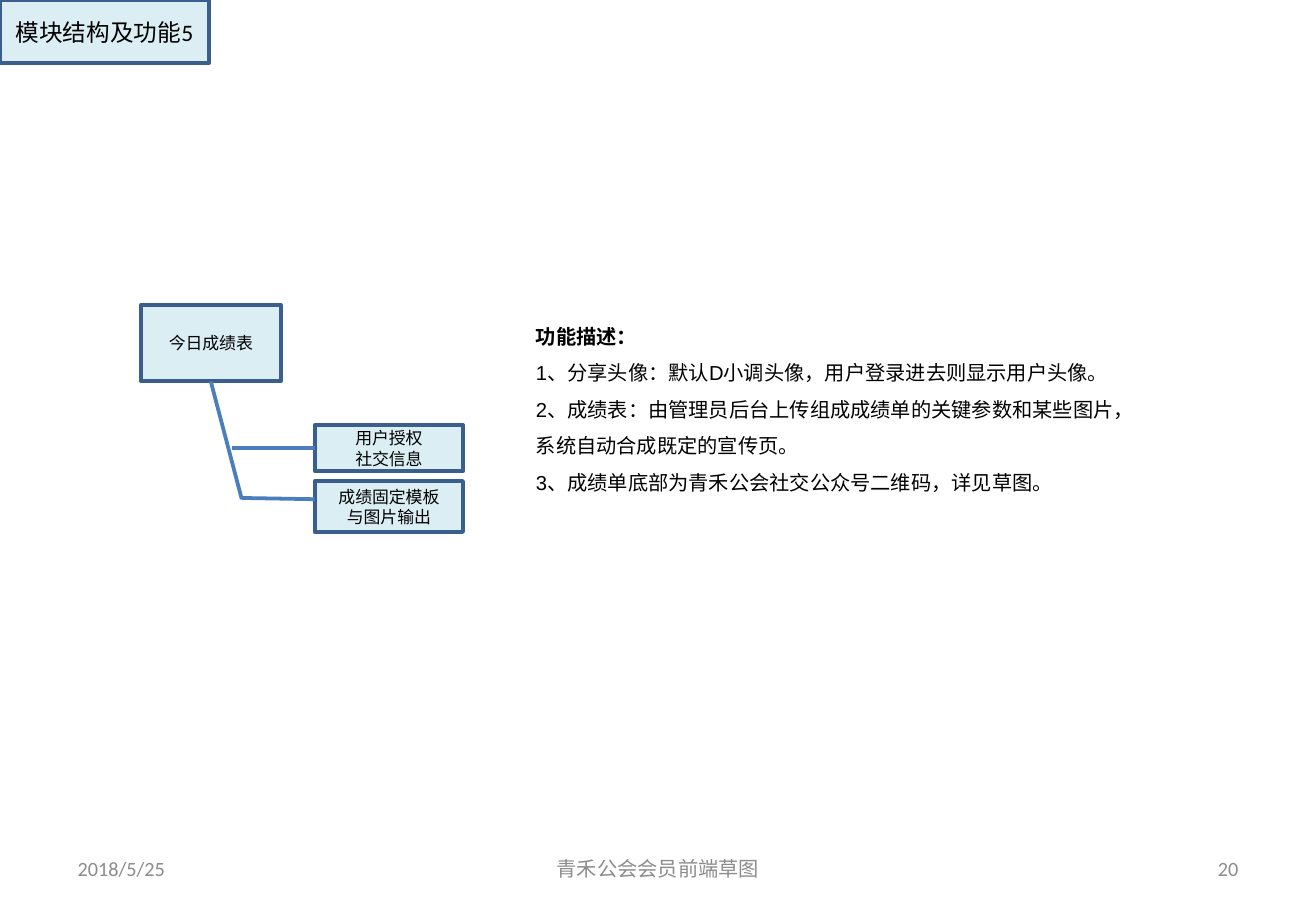
"""Build the slide on the structure and functions of module 5."""
import pptx
import pptx.dml.color
import pptx.enum.shapes
import pptx.enum.text
import pptx.oxml.xmlchemy
import pptx.util
from lxml import etree

RGB = pptx.dml.color.RGBColor
FILL = RGB(0xDB, 0xEE, 0xF4)
BORDER = RGB(0x3A, 0x5F, 0x8C)
BRANCH = RGB(0x4B, 0x7E, 0xBC)
BLACK = RGB(0, 0, 0)
GRAY = RGB(0x8C, 0x8C, 0x8C)
DRAWING = "{http://schemas.openxmlformats.org/drawingml/2006/main}"
ALIGN = pptx.enum.text.PP_ALIGN
ANCHOR = pptx.enum.text.MSO_ANCHOR
Inches = pptx.util.Inches
Pt = pptx.util.Pt


def place(sp, left, top, width, height):
    sp.left, sp.top = Inches(left), Inches(top)
    sp.width, sp.height = Inches(width), Inches(height)


def write(sp, text, size, color, align, font="Calibri", anchor=ANCHOR.MIDDLE):
    tf = sp.text_frame
    tf.text = text
    tf.word_wrap = True
    tf.auto_size = pptx.enum.text.MSO_AUTO_SIZE.NONE
    tf.vertical_anchor = anchor
    for p in tf.paragraphs:
        p.alignment = align
        for r in p.runs:
            r.font.size = Pt(size)
            r.font.name = font
            r.font.color.rgb = color


prs = pptx.Presentation()
prs.slide_width, prs.slide_height = Inches(10.83), Inches(7.5)
s = prs.slides.add_slide(prs.slide_layouts[1])

title, body = s.shapes.title, s.placeholders[1]
place(title, 0, 0, 1.72, 0.52)
write(title, "模块结构及功能5", 14, BLACK, ALIGN.CENTER)
title.text_frame.margin_left = title.text_frame.margin_right = Inches(0.05)

place(body, 4.31, 2.52, 5.04, 1.62)
write(body, "功能描述：\n"
      "1、分享头像：默认D小调头像，用户登录进去则显示用户头像。\n"
      "2、成绩表：由管理员后台上传组成成绩单的关键参数和某些图片，系统自动合成既定的宣传页。\n"
      "3、成绩单底部为青禾公会社交公众号二维码，详见草图。",
      12, BLACK, ALIGN.LEFT, "Arial", ANCHOR.TOP)
for p in body.text_frame.paragraphs:
    p.line_spacing = 1.5
    p.space_before = Pt(0)
    pPr = p._p.get_or_add_pPr()
    pPr.set("marL", "0")
    pPr.set("indent", "0")
    etree.SubElement(pPr, DRAWING + "buNone")
body.text_frame.paragraphs[0].runs[0].font.bold = True

boxes = []
for text, *box in [("今日成绩表", 1.16, 2.51, 1.15, 0.63),
                   ("用户授权\n社交信息", 2.59, 3.5, 1.22, 0.38),
                   ("成绩固定模板\n与图片输出", 2.59, 3.96, 1.22, 0.42)]:
    sp = s.shapes.add_shape(pptx.enum.shapes.MSO_SHAPE.RECTANGLE, *map(Inches, box))
    sp.shadow.inherit = False
    write(sp, text, 10, BLACK, ALIGN.CENTER)
    boxes.append(sp)
report, login, template = boxes

for sp in (title, *boxes):
    sp.fill.solid()
    sp.fill.fore_color.rgb = FILL
    sp.line.color.rgb = BORDER
    sp.line.width = Pt(2.25)

lines = []
for ends in [(1.74, 3.14, 1.99, 4.11), (1.91, 3.69, 2.59, 3.69), (1.99, 4.1, 2.59, 4.11)]:
    line = s.shapes.add_connector(pptx.enum.shapes.MSO_CONNECTOR.STRAIGHT, *map(Inches, ends))
    line.line.color.rgb = BRANCH
    line.line.width = Pt(2.25)
    etree.SubElement(line._element.spPr, DRAWING + "effectLst")
    lines.append(line)
lines[0].begin_connect(report, 2)
lines[1].end_connect(login, 1)

for text, left, width, align in [("2018/5/25", 0.54, 2.53, ALIGN.LEFT),
                                 ("青禾公会会员前端草图", 3.7, 3.43, ALIGN.CENTER),
                                 ("20", 7.76, 2.53, ALIGN.RIGHT)]:
    sp = s.shapes.add_textbox(Inches(left), Inches(6.95), Inches(width), Inches(0.4))
    write(sp, text, 12, GRAY, align)

prs.save("out.pptx")
